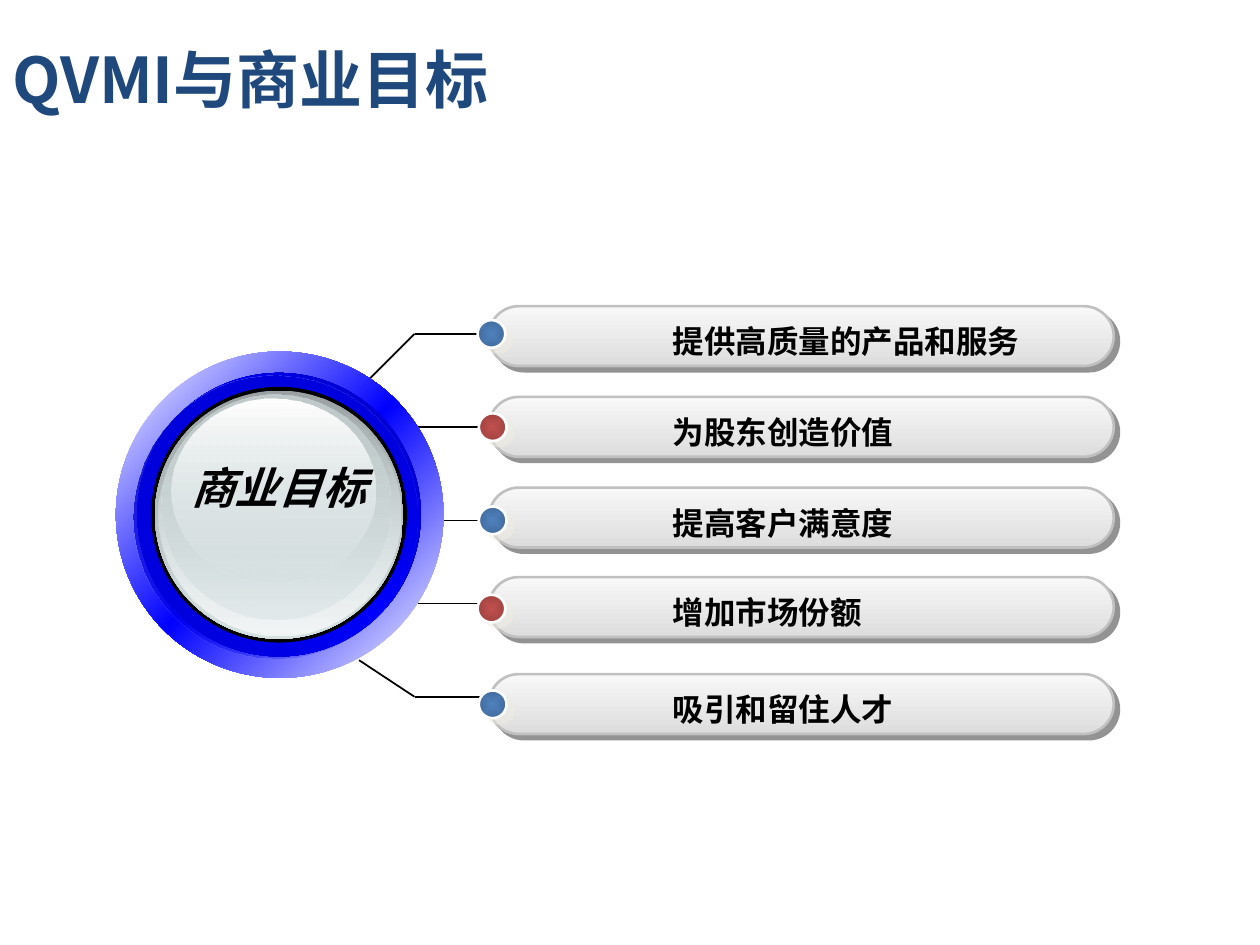
from pptx import Presentation
from pptx.dml.color import RGBColor as Rgb
from pptx.enum.shapes import MSO_CONNECTOR as Link, MSO_SHAPE as Form
from pptx.enum.text import MSO_ANCHOR as Anchor, MSO_AUTO_SIZE as Fit, PP_ALIGN as Align
from pptx.oxml import parse_xml
from pptx.oxml.ns import nsdecls, qn
from pptx.util import Inches, Pt

COLS, ROWS = 100, 75
WIDE, HIGH = Inches(10), Inches(7.5)
HEAD = dict(name="Noto Sans CJK SC", size=Pt(36), bold=True)
ITEM = dict(name="Arial", size=Pt(18), bold=True)
CORE = dict(name="Arial", size=Pt(25), bold=True, italic=True)
BLUE = ("4F81BD", "426C9E")
RED = ("C0504D", "A14341")
GOALS = [
    ("提供高质量的产品和服务", 29.5, 24.3, 25.4, 37.9, BLUE),
    ("为股东创造价值", 19.5, 31.5, 32.8, 38, RED),
    ("提高客户满意度", 19.5, 38.7, 40.2, 38, BLUE),
    ("增加市场份额", 17, 45.8, 47.2, 37.9, RED),
    ("吸引和留住人才", 19.5, 53.5, 54.8, 38, BLUE),
]
LINKS = [
    (32.2, 33.9, 38.8, 33.9),
    (32.9, 41.3, 38.8, 41.3),
    (32.2, 47.9, 38.8, 47.9),
    (32.9, 26.5, 38.8, 26.5),
    (29.2, 30.2, 32.9, 26.5),
    (32.9, 55.3, 38.8, 55.3),
    (28.5, 52.4, 32.9, 55.3),
]
DISCS = [
    ((9.2, 27.9, 26, 25.9), 45, [("FFFFFF", 100), ("0000FF", 100), ("FFFFFF", 100)]),
    ((10.9, 29.6, 22.5, 22.5), 315, [("0000C3", 100), ("0000FF", 100), ("0000C3", 100)]),
    ((10.6, 29.8, 22.5, 22.5), 45, [("0000D1", 100), ("0000FF", 0)]),
    ((12, 30.7, 20.3, 20.3), 0, [("000000", 100)]),
    ((12.3, 31, 19.7, 19.7), 90, [("99A1A2", 100), ("D6E1E2", 100)]),
    ((12.6, 31.2, 19.2, 19.2), 90, [("D6E1E2", 0), ("F2F5F5", 100)]),
    ((12.8, 31.3, 18.2, 17.9), 90, [("C1CBCC", 100), ("D6E1E2", 48)]),
    ((13.6, 31.6, 16.2, 14.6), 90, [("FFFFFF", 100), ("D6E1E2", 38)]),
]


def grid(*cells):
    units = (WIDE / COLS, HIGH / ROWS) * 2
    return [round(cell * unit) for cell, unit in zip(cells, units)]


def tint(target, code):
    target.rgb = Rgb.from_string(code)


def blend(shape, stops, angle=None):
    shape.fill.gradient()
    old = shape._element.spPr.find(qn("a:gradFill"))
    step = 100000 // (len(stops) - 1)
    marks = "".join(
        f'<a:gs pos="{i * step}"><a:srgbClr val="{code}">'
        f'<a:alpha val="{alpha * 1000}"/></a:srgbClr></a:gs>'
        for i, (code, alpha) in enumerate(stops))
    if angle is None:
        way = ('<a:path path="shape"><a:fillToRect l="50000" t="50000" '
               'r="50000" b="50000"/></a:path>')
    else:
        way = f'<a:lin ang="{angle * 60000}" scaled="0"/>'
    new = parse_xml(f'<a:gradFill {nsdecls("a")} rotWithShape="1">'
                    f'<a:gsLst>{marks}</a:gsLst>{way}</a:gradFill>')
    old.getparent().replace(old, new)


def shade(shape, code, dist, angle):
    shape._element.spPr.find(qn("a:effectLst")).append(parse_xml(
        f'<a:outerShdw {nsdecls("a")} dist="{Pt(dist)}" dir="{angle * 60000}" '
        f'rotWithShape="0"><a:srgbClr val="{code}"><a:alpha val="50000"/>'
        '</a:srgbClr></a:outerShdw>'))


def solid(slide, form, cells, stops, angle=None, edge=None):
    shape = slide.shapes.add_shape(form, *grid(*cells))
    shape.shadow.inherit = False
    if len(stops) == 1:
        shape.fill.solid()
        tint(shape.fill.fore_color, stops[0][0])
    else:
        blend(shape, stops, angle)
    if edge:
        tint(shape.line.color, edge)
        shape.line.width = Pt(1.5)
    else:
        shape.line.fill.background()
    return shape


def label(slide, cells, words, style, code="000000", align=Align.LEFT, **frame):
    box = slide.shapes.add_textbox(*grid(*cells)).text_frame
    for key, value in frame.items():
        setattr(box, key, value)
    para = box.paragraphs[0]
    para.alignment = align
    run = para.add_run()
    run.text = words
    for key, value in style.items():
        setattr(run.font, key, value)
    tint(run.font.color, code)


def link(slide, ends):
    wire = slide.shapes.add_connector(Link.STRAIGHT, *grid(*ends))
    tint(wire.line.color, "000000")
    wire.line.width = Pt(1)
    wire._element.spPr.append(parse_xml(f'<a:effectLst {nsdecls("a")}/>'))


def goal(slide, words, width, top, dot_top, dot_left, hues):
    bar = solid(slide, Form.ROUNDED_RECTANGLE, (38.8, top, 49.6, 4.75),
                [("F8F8F8", 100), ("DDDDDD", 100)], 90, "C0C0C0")
    bar.adjustments[0] = 0.5
    shade(bar, "292929", 4.2, 45)
    label(slide, (52.4, top + 0.8, width, 4), words, ITEM,
          word_wrap=False, auto_size=Fit.SHAPE_TO_FIT_TEXT)
    dot = solid(slide, Form.OVAL, (dot_left, dot_top, 2.2, 2.2),
                [(hue, 100) for hue in hues], edge="FFFFFF")
    shade(dot, "EEECE1", 5, 37)


def main():
    deck = Presentation()
    deck.slide_width, deck.slide_height = WIDE, HIGH
    slide = deck.slides.add_slide(deck.slide_layouts[6])
    label(slide, (0, 0, 90, 12.5), "QVMI与商业目标", HEAD, "1F497D",
          word_wrap=True, vertical_anchor=Anchor.MIDDLE)
    for ends in LINKS:
        link(slide, ends)
    for row in GOALS:
        goal(slide, *row)
    for cells, angle, stops in DISCS:
        solid(slide, Form.OVAL, cells, stops, angle)
    label(slide, (12.1, 36.1, 20, 5.2), "商业目标", CORE, align=Align.CENTER,
          word_wrap=True, auto_size=Fit.SHAPE_TO_FIT_TEXT)
    deck.save("out.pptx")


if __name__ == "__main__":
    main()
